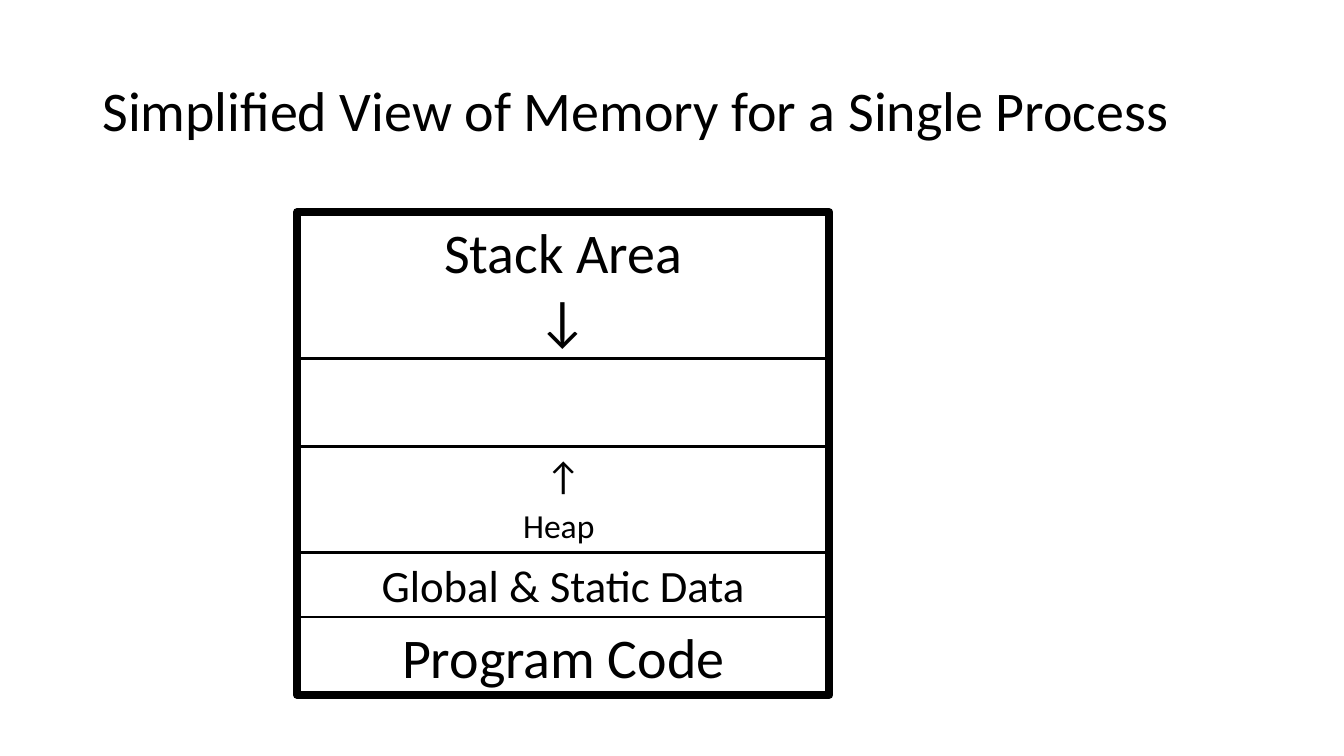
from dataclasses import dataclass

from pptx import Presentation
from pptx.dml.color import RGBColor
from pptx.enum.shapes import MSO_SHAPE as Shape
from pptx.enum.text import MSO_ANCHOR as Anchor, MSO_AUTO_SIZE as AutoSize, PP_ALIGN as Align
from pptx.util import Cm, Pt

# Content: memory regions from top to bottom as (height in cm, lines);
# each line is a list of (text, size name) runs, no lines means free space
TITLE = "Simplified View of Memory for a Single Process"
REGIONS = [
    (3.68, [[("Stack Area", "large")], [("↓", "large")]]),
    (2.23, []),
    (2.66, [[("↑", "small")], [("Heap", "tiny"), (" ", "small")]]),
    (1.63, [[("Global & Static Data", "medium")]]),
    (1.96, [[("Program Code", "large")]]),
]
MEMORY_LEFT, MEMORY_TOP, MEMORY_WIDTH = 7.49, 5.35, 13.41


@dataclass(frozen=True)
class Theme:
    font = "Calibri"
    ink = RGBColor(0, 0, 0)
    sizes = {"large": Pt(40), "medium": Pt(32), "small": Pt(28), "tiny": Pt(24)}
    frame_line = Pt(6)
    region_line = Pt(2)


def add_span(para, text, size):
    span = para.add_run()
    span.text = text
    span.font.name = Theme.font
    span.font.size = Theme.sizes[size]
    span.font.color.rgb = Theme.ink


def add_outline(page, top, height, line_width):
    box = page.shapes.add_shape(Shape.RECTANGLE, Cm(MEMORY_LEFT), Cm(top),
                                Cm(MEMORY_WIDTH), Cm(height))
    box.shadow.inherit = False
    box.fill.background()
    box.line.color.rgb = Theme.ink
    box.line.width = line_width
    return box


def add_region(page, top, height, lines):
    frame = add_outline(page, top, height, Theme.region_line).text_frame
    frame.word_wrap = True
    frame.auto_size = AutoSize.SHAPE_TO_FIT_TEXT
    frame.vertical_anchor = Anchor.TOP
    para = frame.paragraphs[0]
    para.alignment = Align.CENTER
    for number, spans in enumerate(lines):
        if number:
            para.add_line_break()
        for text, size in spans:
            add_span(para, text, size)


def main():
    deck = Presentation()
    deck.slide_width, deck.slide_height = Cm(33.87), Cm(19.05)
    page = deck.slides.add_slide(deck.slide_layouts[6])

    # Title
    title = page.shapes.add_textbox(Cm(2.33), Cm(1.01), Cm(29.21), Cm(3.68)).text_frame
    title.word_wrap = True
    title.vertical_anchor = Anchor.MIDDLE
    title.paragraphs[0].line_spacing = 0.9
    add_span(title.paragraphs[0], TITLE, "large")

    # Memory frame and the regions stacked inside it
    add_outline(page, MEMORY_TOP, sum(height for height, _ in REGIONS), Theme.frame_line)
    top = MEMORY_TOP
    for height, lines in REGIONS:
        if lines:
            add_region(page, top, height, lines)
        top += height

    deck.save("out.pptx")


if __name__ == "__main__":
    main()
